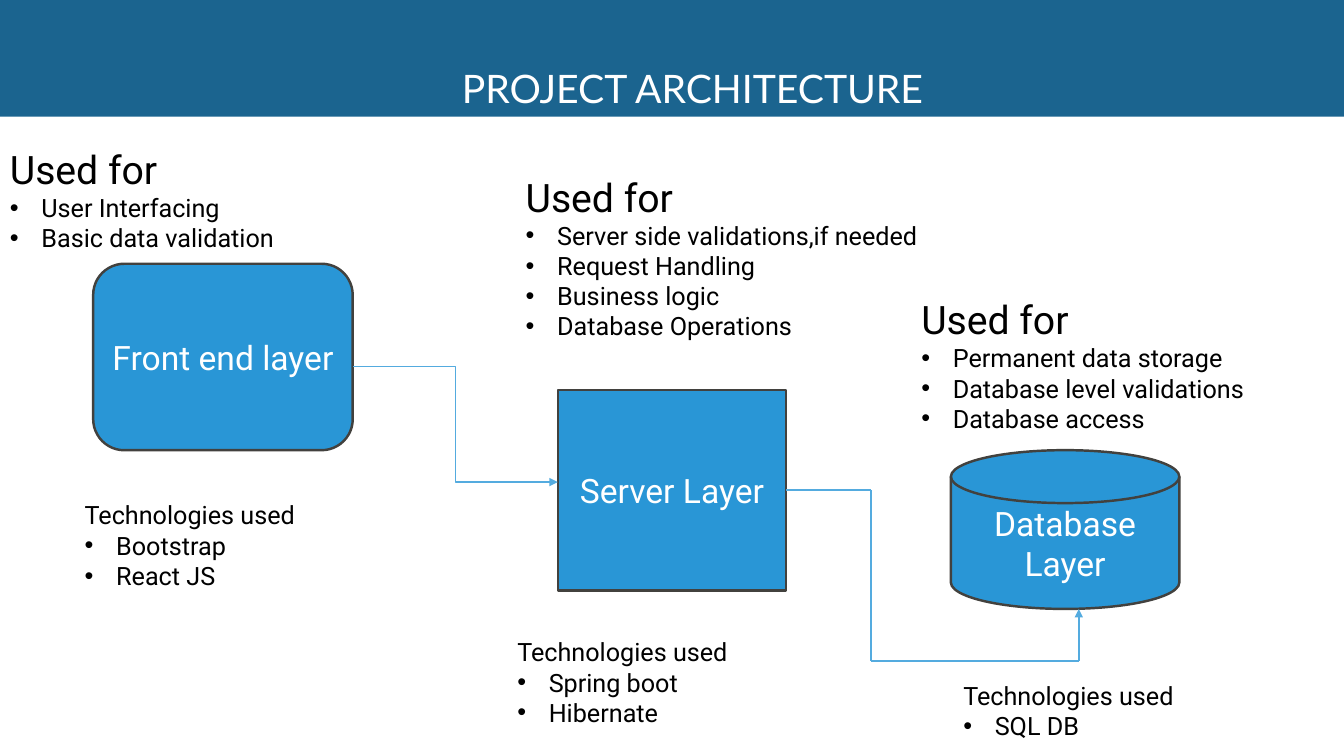
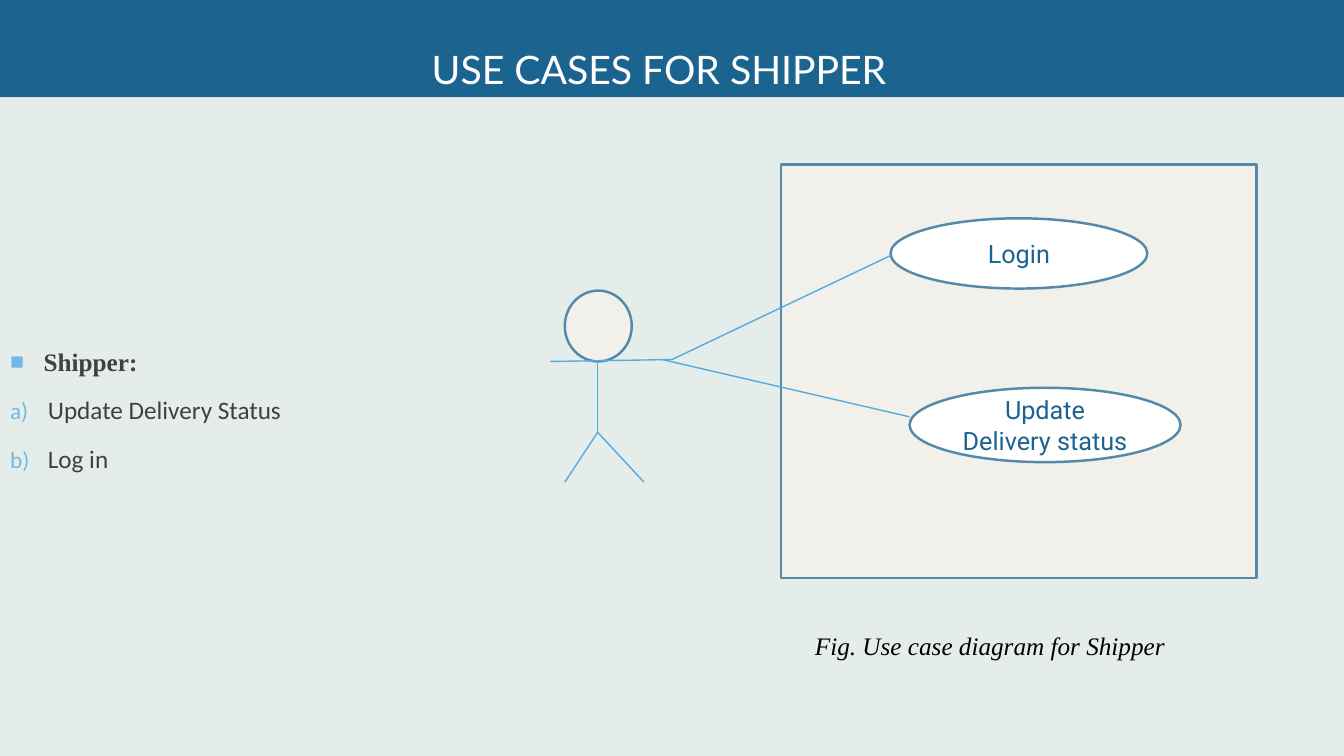
from collections import namedtuple
from itertools import pairwise

from lxml import etree
from pptx import Presentation
from pptx import util as u
from pptx.dml import color as dml
from pptx.enum import shapes, text
from pptx.oxml import ns

COLUMNS, ROWS = 160, 90
CELL = u.Inches(13.333) / COLUMNS

BAND, LAYER, LAYER_EDGE = "1B648F", "2996D6", "42413E"
LINK, CANVAS, PANEL, PANEL_EDGE = "54ABDF", "E5EDEB", "F2F0EB", "5489A9"
WHITE, BLACK, BODY_TEXT, MARKER = "FFFFFF", "000000", "404040", "71B9E4"

KIND = shapes.MSO_SHAPE
ANCHOR = text.MSO_ANCHOR
ALIGN = text.PP_ALIGN


class Box(namedtuple("Box", "x y w h")):
    def point(self, across, down):
        return self.x + across * self.w, self.y + down * self.h

    def inner(self, across, down, width, height):
        return Box(*self.point(across, down), width * self.w, height * self.h)

    def offset(self, columns, rows, width, height):
        return Box(self.x + columns, self.y + rows, width, height)

    def emu(self):
        return [cells(value) for value in self]


def cells(count):
    return u.Emu(round(count * CELL))


def rgb(value):
    return dml.RGBColor.from_string(value)


def add_xml(parent, tag, **attributes):
    return etree.SubElement(parent, ns.qn(tag), attributes)


def place(figure, box):
    figure.left, figure.top, figure.width, figure.height = box.emu()


def paint(figure, fill, edge=None):
    figure.fill.solid()
    figure.fill.fore_color.rgb = rgb(fill)
    if edge:
        figure.line.color.rgb = rgb(edge)
        figure.line.width = u.Pt(1.75)


def set_marker(paragraph, marker, indent, color):
    properties = paragraph._p.get_or_add_pPr()
    properties.set("marL", str(cells(indent)))
    properties.set("indent", str(-cells(indent)))
    if color:
        add_xml(add_xml(properties, "a:buClr"), "a:srgbClr", val=color)
        add_xml(properties, "a:buSzPct", val="92000")
    if marker == "a)":
        add_xml(properties, "a:buFont", typeface="+mj-lt")
        add_xml(properties, "a:buAutoNum", type="alphaLcParenR")
    else:
        add_xml(properties, "a:buFont", typeface="Arial")
        add_xml(properties, "a:buChar", char=marker)


def write(frame, words, size=18, font="Roboto", color=BLACK, bold=False, italic=False,
          align=ALIGN.LEFT, marker=None, indent=3.75, marker_color=None,
          spacing=1.0, before=0, after=0):
    paragraph = frame.paragraphs[0] if not frame.text else frame.add_paragraph()
    paragraph.alignment = align
    paragraph.line_spacing = spacing
    paragraph.space_before, paragraph.space_after = u.Pt(before), u.Pt(after)
    if marker:
        set_marker(paragraph, marker, indent, marker_color)
    run = paragraph.add_run()
    run.text = words
    run.font.size, run.font.name = u.Pt(size), font
    run.font.bold, run.font.italic = bold, italic
    run.font.color.rgb = rgb(color)


def setup_frame(holder, anchor):
    frame = holder.text_frame
    frame.auto_size = text.MSO_AUTO_SIZE.NONE
    frame.word_wrap = True
    frame.vertical_anchor = anchor
    return frame


def add_figure(slide, kind, box, fill, edge, label=None, **style):
    figure = slide.shapes.add_shape(kind, *box.emu())
    figure.shadow.inherit = False
    paint(figure, fill, edge)
    if label:
        write(setup_frame(figure, ANCHOR.MIDDLE), label, align=ALIGN.CENTER, **style)


def add_note(slide, box):
    return setup_frame(slide.shapes.add_textbox(*box.emu()), ANCHOR.TOP)


def link(slide, start, end, kind=shapes.MSO_CONNECTOR.STRAIGHT, arrow=False):
    ends = [cells(value) for value in (*start, *end)]
    connector = slide.shapes.add_connector(kind, *ends)
    connector.line.color.rgb = rgb(LINK)
    connector.line.width = u.Pt(1)
    if arrow:
        add_xml(connector.line._get_or_add_ln(), "a:tailEnd", type="triangle")
    add_xml(connector._element.spPr, "a:effectLst")


def header(slide, box, words, inset):
    title = slide.shapes.title
    place(title, box)
    paint(title, BAND)
    frame = setup_frame(title, ANCHOR.BOTTOM)
    frame.margin_left = cells(inset)
    write(frame, words, size=28, font="Lato", color=WHITE)


def bullet_note(slide, box, heading, heading_size, items):
    frame = add_note(slide, box)
    write(frame, heading, size=heading_size)
    for item in items:
        write(frame, item, marker="•")


def layer(slide, box, kind, name, purposes_box, purposes, tools_box, tools):
    add_figure(slide, kind, box, LAYER, LAYER_EDGE, name, size=24, color=WHITE)
    bullet_note(slide, box.offset(*purposes_box), "Used for", 28, purposes)
    bullet_note(slide, box.offset(*tools_box), "Technologies used", 18, tools)


def architecture_slide(deck):
    slide = deck.slides.add_slide(deck.slide_layouts[5])
    header(slide, Box(0, 0, COLUMNS, 13.9), "PROJECT ARCHITECTURE", 55)

    front = Box(11.1, 31.4, 30.9, 22.2)
    server = Box(66.4, 46.4, 27.2, 23.9)
    database = Box(113.2, 53.6, 27.2, 18.9)
    layer(slide, front, KIND.ROUNDED_RECTANGLE, "Front end layer",
          (-11.1, -14.7, 46.4, 14.2), ["User Interfacing", "Basic data validation"],
          (-2.2, 27.5, 37.9, 19.4), ["Bootstrap", "React JS"])
    layer(slide, server, KIND.RECTANGLE, "Server Layer",
          (-5, -26.4, 51.7, 21.4),
          ["Server side validations,if needed", "Request Handling",
           "Business logic", "Database Operations"],
          (-6, 28.8, 33.2, 12.1), ["Spring boot", "Hibernate"])
    layer(slide, database, KIND.FLOWCHART_MAGNETIC_DISK, "Database Layer",
          (-4.7, -19, 44.6, 17.8),
          ["Permanent data storage", "Database level validations", "Database access"],
          (0.3, 26.8, 29.8, 8.5), ["SQL DB"])

    link(slide, front.point(1, 0.55), server.point(0, 0.46),
         shapes.MSO_CONNECTOR.ELBOW, arrow=True)
    exit_point, entry_point = server.point(1, 0.5), database.point(0.56, 1)
    turn, floor = exit_point[0] + 10.1, entry_point[1] + 6.2
    route = [exit_point, (turn, exit_point[1]), (turn, floor),
             (entry_point[0], floor), entry_point]
    for start, end in pairwise(route):
        link(slide, start, end, arrow=end == entry_point)


def use_case_list(slide, box, actor_name, cases):
    body = slide.placeholders[1]
    place(body, box)
    paint(body, CANVAS)
    frame = setup_frame(body, ANCHOR.MIDDLE)
    frame.margin_bottom = cells(5)
    shared = dict(color=BODY_TEXT, marker_color=MARKER, before=3.6, after=6)
    write(frame, actor_name, font="Times New Roman", bold=True,
          marker="■", indent=4, spacing=1.1, **shared)
    for case in cases:
        write(frame, case, font="Calibri", marker="a)", indent=4.5, spacing=1.15, **shared)


def stick_actor(slide, box):
    add_figure(slide, KIND.OVAL, box.inner(0.12, 0, 0.55, 0.37), PANEL, PANEL_EDGE)
    neck, hip = box.point(0.39, 0.37), box.point(0.39, 0.74)
    link(slide, neck, hip)
    link(slide, box.point(1, 0.36), box.point(0, 0.37))
    for foot in (0.77, 0.12):
        link(slide, hip, box.point(foot, 1))


def use_case_diagram(slide, system, actor):
    stick_actor(slide, actor)
    add_figure(slide, KIND.RECTANGLE, system, PANEL, PANEL_EDGE)
    cases = [
        ("Update Delivery status", (0.27, 0.54, 0.57, 0.18), 0.92, 0.39),
        ("Login", (0.23, 0.13, 0.54, 0.17), 1, 0.53),
    ]
    for name, share, hand, contact in cases:
        case = system.inner(*share)
        add_figure(slide, KIND.OVAL, case, WHITE, PANEL_EDGE, name, color=BAND)
        link(slide, actor.point(hand, 0.36), case.point(0, contact))
    write(add_note(slide, system.offset(-2.2, 54.8, 54.1, 4.8)),
          "Fig. Use case diagram for Shipper",
          font="Times New Roman", italic=True, align=ALIGN.CENTER)


def use_case_slide(deck):
    slide = deck.slides.add_slide(deck.slide_layouts[1])
    band = Box(0, 0, COLUMNS, 11.6)
    header(slide, band, "USE CASES FOR SHIPPER", 51.4)
    use_case_list(slide, Box(0, band.h, COLUMNS, ROWS - band.h),
                  "Shipper:", ["Update Delivery Status", "Log in"])
    use_case_diagram(slide, Box(93, 19.6, 56.6, 49.2), Box(65.5, 34.6, 14.5, 22.8))


def main():
    deck = Presentation()
    deck.slide_width, deck.slide_height = cells(COLUMNS), cells(ROWS)
    architecture_slide(deck)
    use_case_slide(deck)
    deck.save("out.pptx")


if __name__ == "__main__":
    main()
